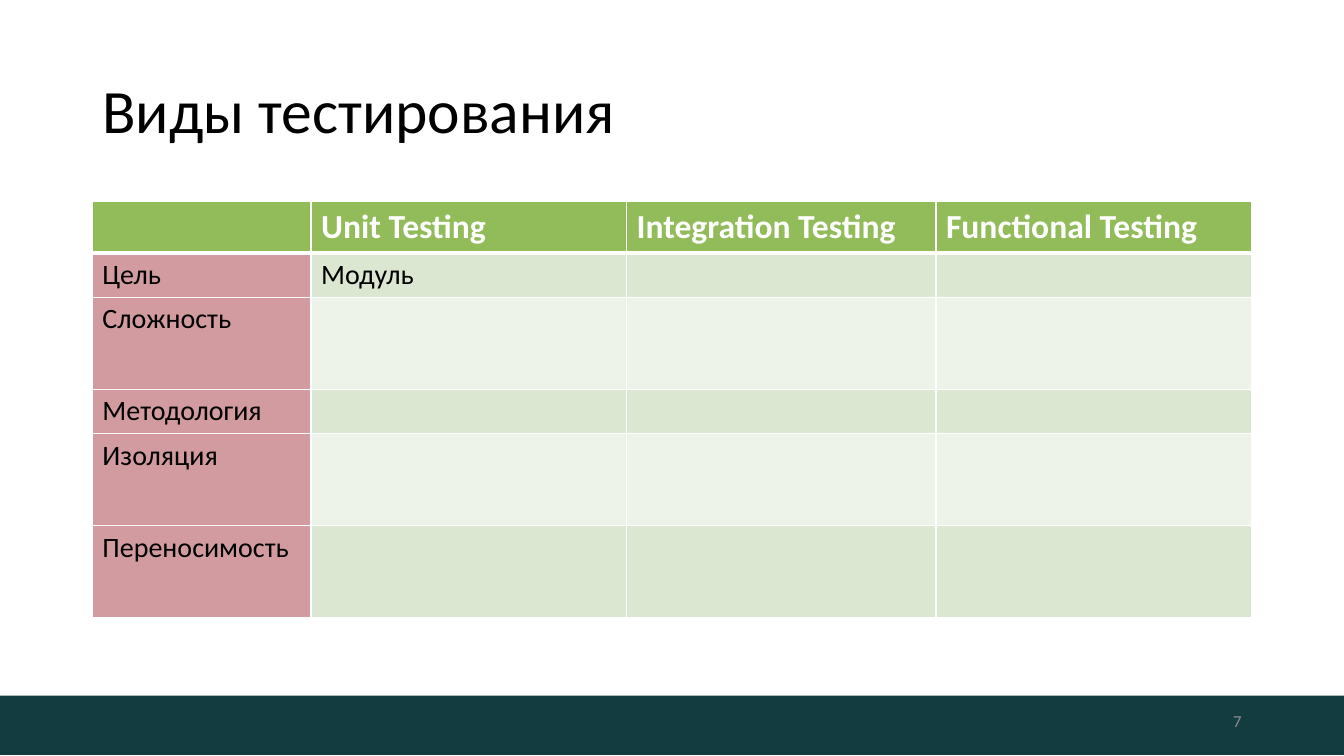
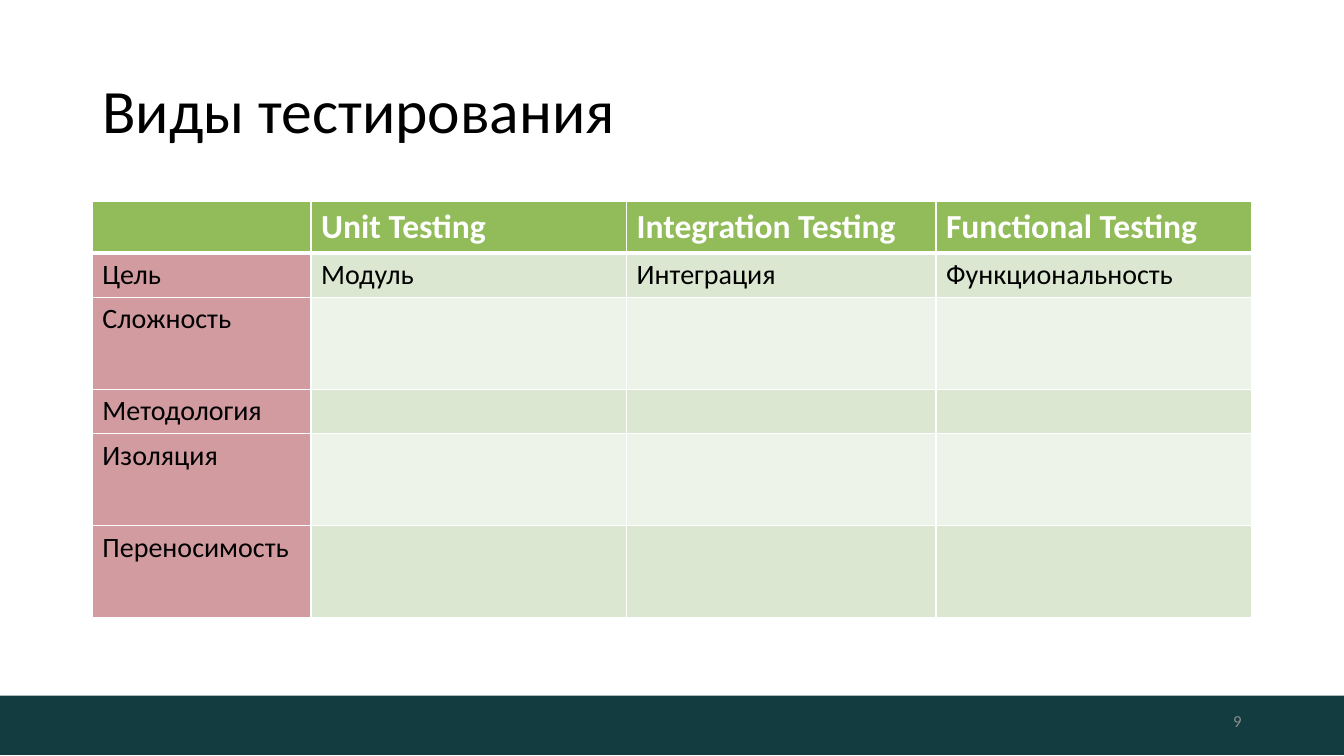
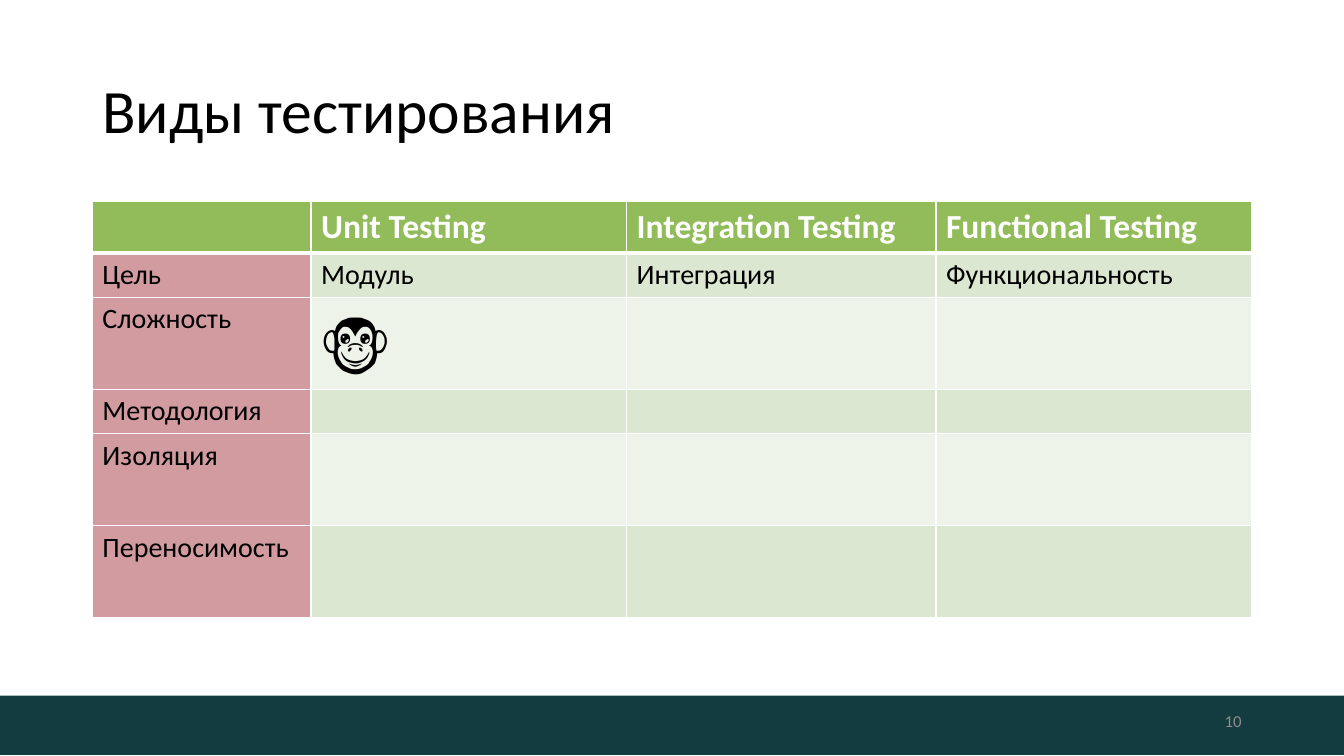
import pptx
import pptx.dml.color
import pptx.enum.shapes
import pptx.enum.text
import pptx.oxml.ns
import pptx.util
import lxml.etree

Pt = pptx.util.Pt
RGBColor = pptx.dml.color.RGBColor
Anchor = pptx.enum.text.MSO_ANCHOR
Align = pptx.enum.text.PP_ALIGN
qn = pptx.oxml.ns.qn

FONT = "Calibri"
WHITE = RGBColor(0xFF, 0xFF, 0xFF)
BLACK = RGBColor(0, 0, 0)
GREY = RGBColor(0x8C, 0x8C, 0x8C)
TEAL = RGBColor(0x13, 0x3C, 0x41)
GREEN = RGBColor(0x92, 0xBC, 0x5A)
ROSE = RGBColor(0xD1, 0x9B, 0xA0)
BANDS = (RGBColor(0xEE, 0xF3, 0xEA), RGBColor(0xDC, 0xE7, 0xD2))

SLIDE_WIDTH, SLIDE_HEIGHT = 960, 540
BAND_BOX = (0, 496.8, SLIDE_WIDTH, 42.5)
TITLE_BOX = (66, 28.75, 828, 104.4)
TABLE_BOX = (66, 144, 828, 296.8)
NUMBER_BOX = (678, 500.5, 216, 28.75)

TITLE = "Виды тестирования"
HEADINGS = ("", "Unit Testing", "Integration Testing", "Functional Testing")
CRITERIA = ("Цель", "Сложность", "Методология", "Изоляция", "Переносимость")
COLUMN_SHARES = (2.17, 3.13, 3.07, 3.13)
ROW_SHARES = (36.2, 31.4, 65.8, 31.8, 65.8, 65.8)
GOALS = ("Модуль", "Интеграция", "Функциональность")
SYMBOL = "🐵"
SLIDES = (
    ("7", {"Цель": GOALS[:1]}),
    ("9", {"Цель": GOALS}),
    ("10", {"Цель": GOALS, "Сложность": (SYMBOL,)}),
)


def place(shape, box):
    shape.left, shape.top, shape.width, shape.height = map(Pt, box)


def write(para, text, size, colour, bold=False):
    span = para.add_run()
    span.text = text
    span.font.name = FONT
    span.font.size = Pt(size)
    span.font.bold = bold
    span.font.color.rgb = colour


def add_band(slide, box):
    band = slide.shapes.add_shape(
        pptx.enum.shapes.MSO_SHAPE.RECTANGLE, *map(Pt, box))
    band.shadow.inherit = False
    band.fill.solid()
    band.fill.fore_color.rgb = TEAL
    band.line.fill.background()


def add_title(slide, box):
    title = slide.shapes.title
    place(title, box)
    title.text_frame.vertical_anchor = Anchor.MIDDLE
    para = title.text_frame.paragraphs[0]
    para.alignment = Align.LEFT
    para.line_spacing = 0.9
    write(para, TITLE, 44, BLACK)


def add_number(slide, box, number):
    number_box = slide.shapes.add_textbox(*map(Pt, box))
    number_box.text_frame.word_wrap = True
    number_box.text_frame.vertical_anchor = Anchor.MIDDLE
    para = number_box.text_frame.paragraphs[0]
    para.alignment = Align.RIGHT
    write(para, number, 12, GREY)


def set_borders(cell, bottom):
    properties = cell._tc.get_or_add_tcPr()
    for side, width in (("L", 1), ("R", 1), ("T", 1), ("B", bottom)):
        line = lxml.etree.SubElement(
            properties, qn("a:ln" + side), w=str(Pt(width)))
        fill = lxml.etree.SubElement(line, qn("a:solidFill"))
        lxml.etree.SubElement(fill, qn("a:srgbClr"), val=str(WHITE))


def cell_fill(row, column):
    if row == 0:
        return GREEN
    return ROSE if column == 0 else BANDS[row % 2]


def fill_cell(cell, row, column, text):
    set_borders(cell, 3 if row == 0 else 1)
    cell.fill.solid()
    cell.fill.fore_color.rgb = cell_fill(row, column)
    if not text:
        return
    para = cell.text_frame.paragraphs[0]
    if row == 0:
        write(para, text, 24, WHITE, True)
    else:
        write(para, text, 48 if text == SYMBOL else 20, BLACK)


def add_comparison(slide, box, answers):
    rows = [HEADINGS] + [(name, *answers.get(name, ())) for name in CRITERIA]
    table = slide.shapes.add_table(
        len(rows), len(HEADINGS), *map(Pt, box)).table
    for column, share in zip(table.columns, COLUMN_SHARES):
        column.width = Pt(box[2] * share / sum(COLUMN_SHARES))
    for row, share in zip(table.rows, ROW_SHARES):
        row.height = Pt(box[3] * share / sum(ROW_SHARES))
    for row, texts in enumerate(rows):
        for column in range(len(HEADINGS)):
            text = texts[column] if column < len(texts) else ""
            fill_cell(table.cell(row, column), row, column, text)


def add_testing_slide(deck, number, answers):
    slide = deck.slides.add_slide(deck.slide_layouts.get_by_name("Title Only"))
    add_band(slide, BAND_BOX)
    add_title(slide, TITLE_BOX)
    add_comparison(slide, TABLE_BOX, answers)
    add_number(slide, NUMBER_BOX, number)


def main():
    deck = pptx.Presentation()
    deck.slide_width, deck.slide_height = Pt(SLIDE_WIDTH), Pt(SLIDE_HEIGHT)
    for number, answers in SLIDES:
        add_testing_slide(deck, number, answers)
    deck.save("out.pptx")


if __name__ == "__main__":
    main()
